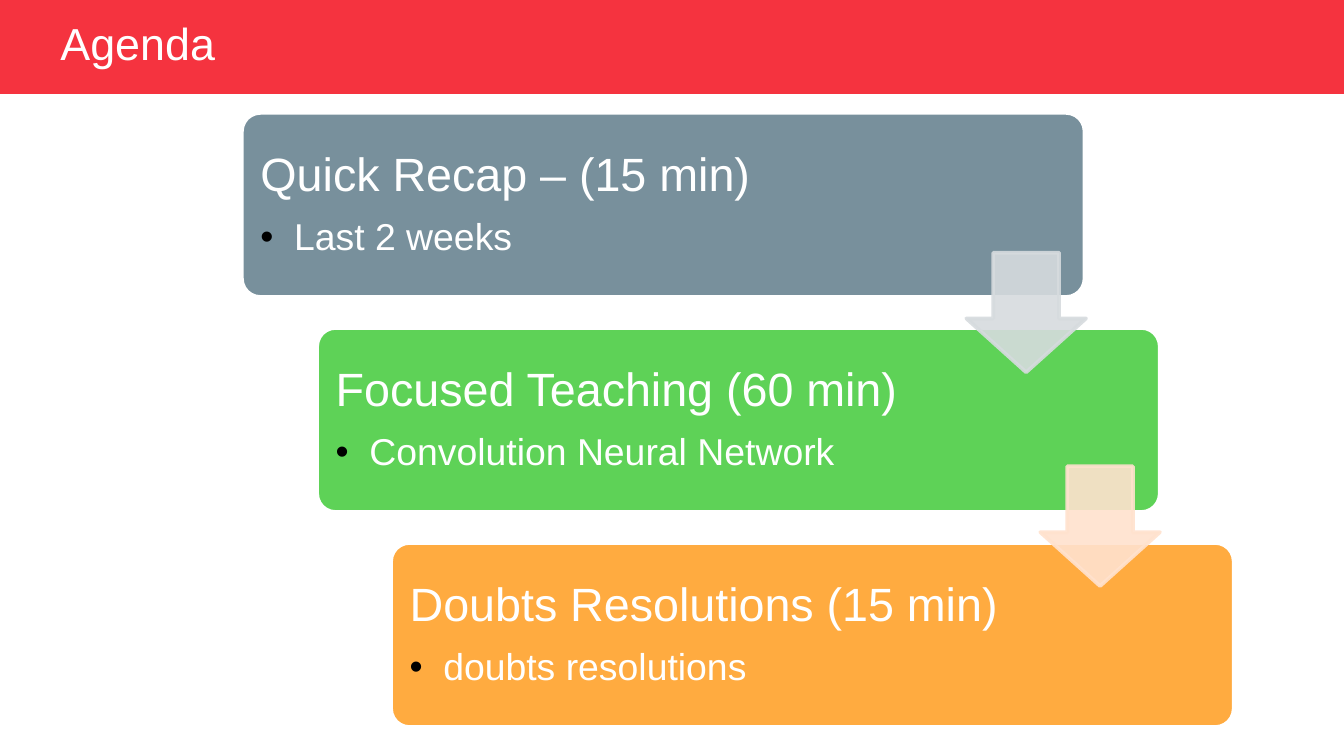
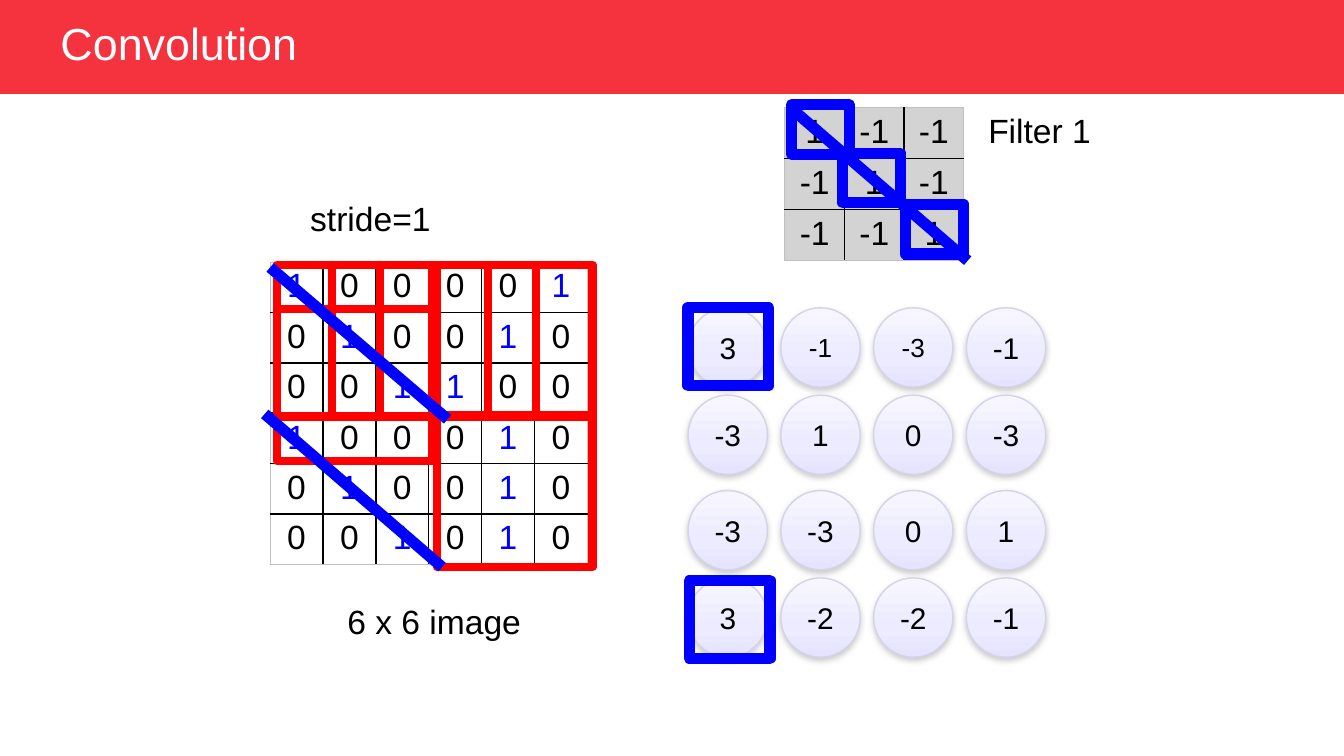
"""Build two lesson slides: the agenda and a convolution example."""
import lxml.etree
import pptx
import pptx.dml.color
import pptx.enum.shapes
import pptx.enum.text
import pptx.oxml
import pptx.oxml.ns
import pptx.util

FONT = "Arial"
RED, BLUE, BLACK, WHITE = "FF0000", "0000FF", "000000", "FFFFFF"
BAND, GREY, EDGE = "F5333F", "D3D3D3", "C0C0C0"
RIM, SHADE = "D4D3E7", "808080"
GLOW = [(0, "F7F6FF"), (65, "ECEBFF"), (100, "E5E3FF")]
KIND = pptx.enum.shapes.MSO_SHAPE
ALIGN = pptx.enum.text.PP_ALIGN
MIDDLE = pptx.enum.text.MSO_ANCHOR.MIDDLE
FIT = pptx.enum.text.MSO_AUTO_SIZE


def px(*sizes):
    """Turn whole px, 100 to the inch, into EMU."""
    return [pptx.util.Emu(size * 9144) for size in sizes]


def paint(code):
    """Turn a hex string into a colour."""
    return pptx.dml.color.RGBColor.from_string(code)


def node(root, tag, **attrs):
    """Add a drawing element below root."""
    return lxml.etree.SubElement(root, pptx.oxml.ns.qn("a:" + tag), attrs)


def tint(root, code, alpha=100):
    """Add a colour element with its opacity below root."""
    clr = node(root, "srgbClr", val=code)
    if alpha < 100:
        node(clr, "alpha", val=str(alpha * 1000))


def style(para, size, code, align=ALIGN.LEFT):
    """Format a paragraph and its runs."""
    para.alignment = align
    for run in para.runs:
        run.font.name = FONT
        run.font.size = pptx.util.Pt(size)
        run.font.color.rgb = paint(code)


def inset(item, side, top):
    """Set the margins of a frame or cell."""
    item.margin_left, item.margin_top = px(side, top)
    item.margin_right, item.margin_bottom = px(side, top)


class Deck:
    """Hold the file, the current slide and the shared style."""

    def __init__(self):
        """Start an empty wide-screen file."""
        self.file = pptx.Presentation()
        wide = px(1000)[0]
        self.file.slide_width, self.file.slide_height = wide, wide * 9 // 16
        self.form = self.file.slide_layouts[5]
        self.slide = None

    def start(self, title, width):
        """Add a slide with its title, and the master band once."""
        fresh = self.slide is None
        self.slide = self.file.slides.add_slide(self.form)
        if fresh:
            band = self.shape(KIND.RECTANGLE, (0, 0, 1000, 70), BAND)
            self.file.slide_master.shapes[0].element.addprevious(band.element)
        head = self.slide.shapes.title
        head.left, head.top, head.width, head.height = px(35, 13, width, 42)
        frame = head.text_frame
        frame.text = title
        frame.auto_size = FIT.NONE
        frame.vertical_anchor = MIDDLE
        inset(frame, 10, 5)
        frame.paragraphs[0].line_spacing = 0.9
        style(frame.paragraphs[0], 24, WHITE)

    def shape(self, kind, box, fill=None, line=None, width=2, adjust=()):
        """Add a preset shape."""
        shape = self.slide.shapes.add_shape(kind, *px(*box))
        shape.shadow.inherit = False
        for i, value in enumerate(adjust):
            shape.adjustments[i] = value
        if fill:
            shape.fill.solid()
            shape.fill.fore_color.rgb = paint(fill)
        else:
            shape.fill.background()
        if line:
            shape.line.color.rgb = paint(line)
            shape.line.width = pptx.util.Pt(width)
        else:
            shape.line.fill.background()
        return shape

    def text(self, box, text, align=ALIGN.CENTER, wrap=True):
        """Add a one-line label."""
        frame = self.slide.shapes.add_textbox(*px(*box)).text_frame
        frame.text = text
        frame.word_wrap = wrap
        frame.auto_size = FIT.SHAPE_TO_FIT_TEXT
        style(frame.paragraphs[0], 18, BLACK, align)

    def card(self, left, top, fill, head, point):
        """Add an agenda card with a heading and a bullet."""
        self.shape(KIND.ROUNDED_RECTANGLE, (left, top, 627, 137), fill,
                   WHITE, adjust=[0.1])
        box = px(left + 4, top + 4, 476, 129)
        frame = self.slide.shapes.add_textbox(*box).text_frame
        frame.word_wrap = True
        frame.vertical_anchor = MIDDLE
        inset(frame, 10, 10)
        frame.text = head
        item = frame.add_paragraph()
        item.text = point
        item.level = 1
        for para, size, after in zip(frame.paragraphs, (25, 20), (9, 3)):
            style(para, size, WHITE)
            para.line_spacing = 0.9
            para.space_after = pptx.util.Pt(after)
        props = item._p.get_or_add_pPr()
        props.set("marL", str(px(25)[0]))
        props.set("indent", str(px(-25)[0]))
        tint(node(props, "buClr"), BLACK)
        node(props, "buFont", typeface=FONT)
        node(props, "buChar", char="•")

    def arrow(self, left, top, code):
        """Add a see-through arrow pointing down."""
        arrow = self.shape(KIND.DOWN_ARROW, (left, top, 89, 89), code, code,
                           adjust=[0.55, 0.45])
        for clr in arrow.element.spPr.iter(pptx.oxml.ns.qn("a:srgbClr")):
            node(clr, "alpha", val="90000")

    def grid(self, box, rows, side, one, fill=None):
        """Add a table of digits, with ones in their own colour."""
        high, wide = len(rows), len(rows[0])
        table = self.slide.shapes.add_table(high, wide, *px(*box)).table
        table.first_row = table.horz_banding = False
        for r, row in enumerate(rows):
            for c, value in enumerate(row):
                cell = table.cell(r, c)
                cell.text = value
                inset(cell, side, 4)
                style(cell.text_frame.paragraphs[0], 18,
                      one if value == "1" else BLACK, ALIGN.CENTER)
                outer = {"lnL": c == 0, "lnR": c == wide - 1,
                         "lnT": r == 0, "lnB": r == high - 1}
                props = cell._tc.get_or_add_tcPr()
                for tag, rim in outer.items():
                    line = node(props, tag, w="6350" if rim else "12700")
                    tint(node(line, "solidFill"), EDGE if rim else BLACK)
                if fill:
                    cell.fill.solid()
                    cell.fill.fore_color.rgb = paint(fill)
                else:
                    cell.fill.background()

    def ball(self, left, top, text, size):
        """Add a glossy circle with a number."""
        ball = self.shape(KIND.OVAL, (left, top, 59, 59), WHITE, RIM, 0.75)
        ball.fill.gradient()
        props = ball.element.spPr
        grad = props.find(pptx.oxml.ns.qn("a:gradFill"))
        for child in list(grad):
            grad.remove(child)
        stops = node(grad, "gsLst")
        for place, code in GLOW:
            tint(node(stops, "gs", pos=str(place * 1000)), code)
        node(grad, "lin", ang="5400000", scaled="0")
        glow = props.find(pptx.oxml.ns.qn("a:effectLst"))
        cast = node(glow, "outerShdw", blurRad="39370", dist="20320",
                    dir="5400000", rotWithShape="0")
        tint(cast, SHADE, 38)
        frame = ball.text_frame
        frame.text = text
        frame.vertical_anchor = MIDDLE
        style(frame.paragraphs[0], size, BLACK, ALIGN.CENTER)

    def line(self, *ends):
        """Add a thick blue line."""
        line = self.slide.shapes.add_connector(
            pptx.enum.shapes.MSO_CONNECTOR.STRAIGHT, *px(*ends))
        line.line.color.rgb = paint(BLUE)
        line.line.width = pptx.util.Pt(6)
        node(line.element.spPr, "effectLst")


def agenda(deck):
    """Draw the agenda slide."""
    deck.start("Agenda", 832)
    cards = [("78909C", "Quick Recap – (15 min)", "Last 2 weeks"),
             ("5ED257", "Focused Teaching (60 min)",
              "Convolution Neural Network"),
             ("FFAB40", "Doubts Resolutions (15 min)", "doubts resolutions")]
    for i, card in enumerate(cards):
        deck.card(180 + (i * 111 + 1) // 2, 84 + i * 160, *card)
    for i, code in enumerate(("D6DBDE", "FFE2CE")):
        deck.arrow(719 + i * 55, 188 + i * 159, code)


def convolve(deck):
    """Draw the convolution slide."""
    deck.start("Convolution", 409)
    image = ["100001", "010010", "001100", "100010", "010010", "001010"]
    deck.grid((201, 195, 236, 225), image, 7, BLUE)
    deck.text((227, 442, 192, 40), "6 x 6 image")
    kernel = [["1" if r == c else "-1" for c in range(3)] for r in range(3)]
    deck.grid((584, 80, 133, 112), kernel, 8, BLACK, GREY)
    deck.text((714, 77, 119, 40), "Filter 1")
    deck.text((221, 142, 111, 40), "stride=1", ALIGN.LEFT, False)

    sums = {229: "3 -1 -3 -1", 294: "-3 1 0 -3",
            365: "-3 -3 0 1", 430: "3 -2 -2 -1"}
    for top, row in sums.items():
        for i, value in enumerate(row.split()):
            small = top == 229 and i in (1, 2)
            deck.ball(512 + i * 69, top, value, 14 if small else 16)

    views = [(206, 197), (247, 197), (283, 197), (325, 197),
             (206, 230), (325, 309)]
    for left, top in views:
        deck.shape(KIND.RECTANGLE, (left, top, 116, 113), None, RED, 4.5)
    marks = [(589, 78, 43, 37), (627, 114, 43, 37), (674, 152, 43, 37),
             (512, 229, 60, 58), (513, 432, 60, 58)]
    for box in marks:
        deck.shape(KIND.RECTANGLE, box, None, BLUE, 6)
    deck.line(588, 80, 720, 194)
    deck.line(201, 199, 333, 312)
    deck.line(197, 308, 329, 422)


def main():
    """Build and save the slides."""
    deck = Deck()
    agenda(deck)
    convolve(deck)
    deck.file.save("out.pptx")


if __name__ == "__main__":
    main()
